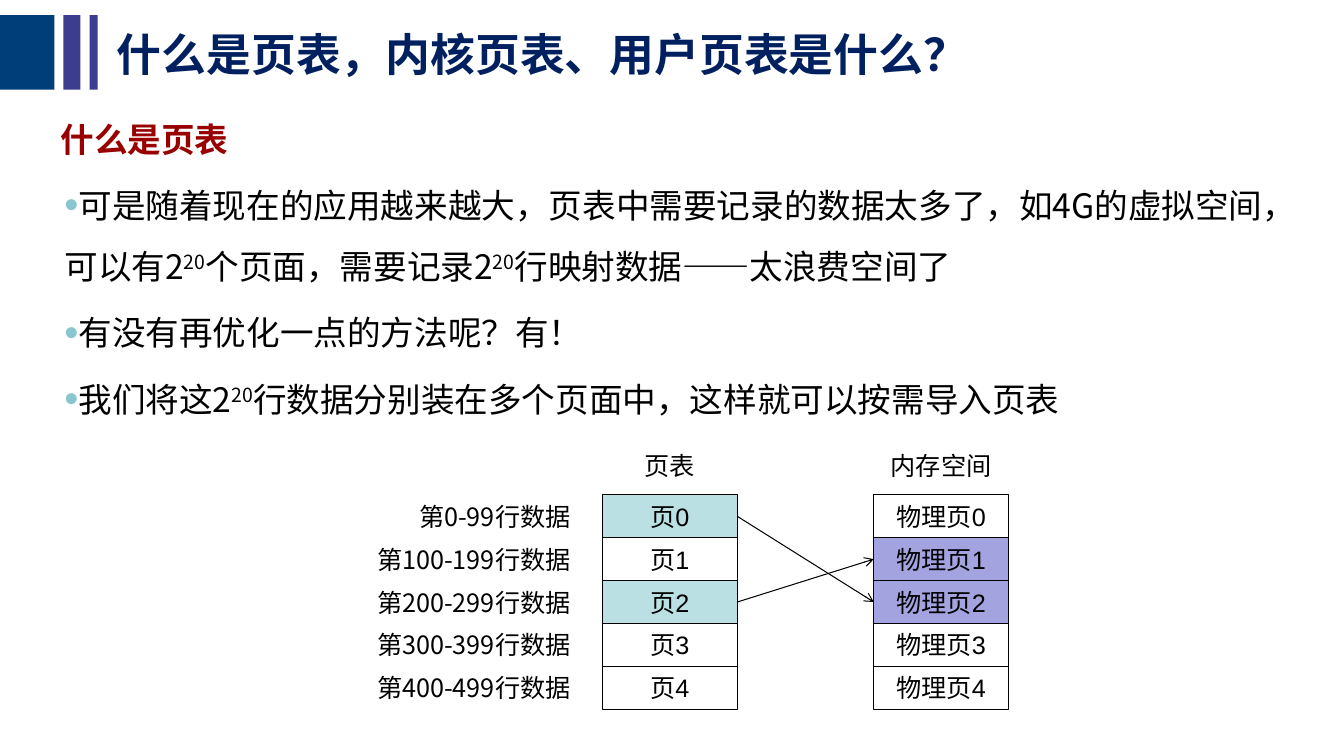
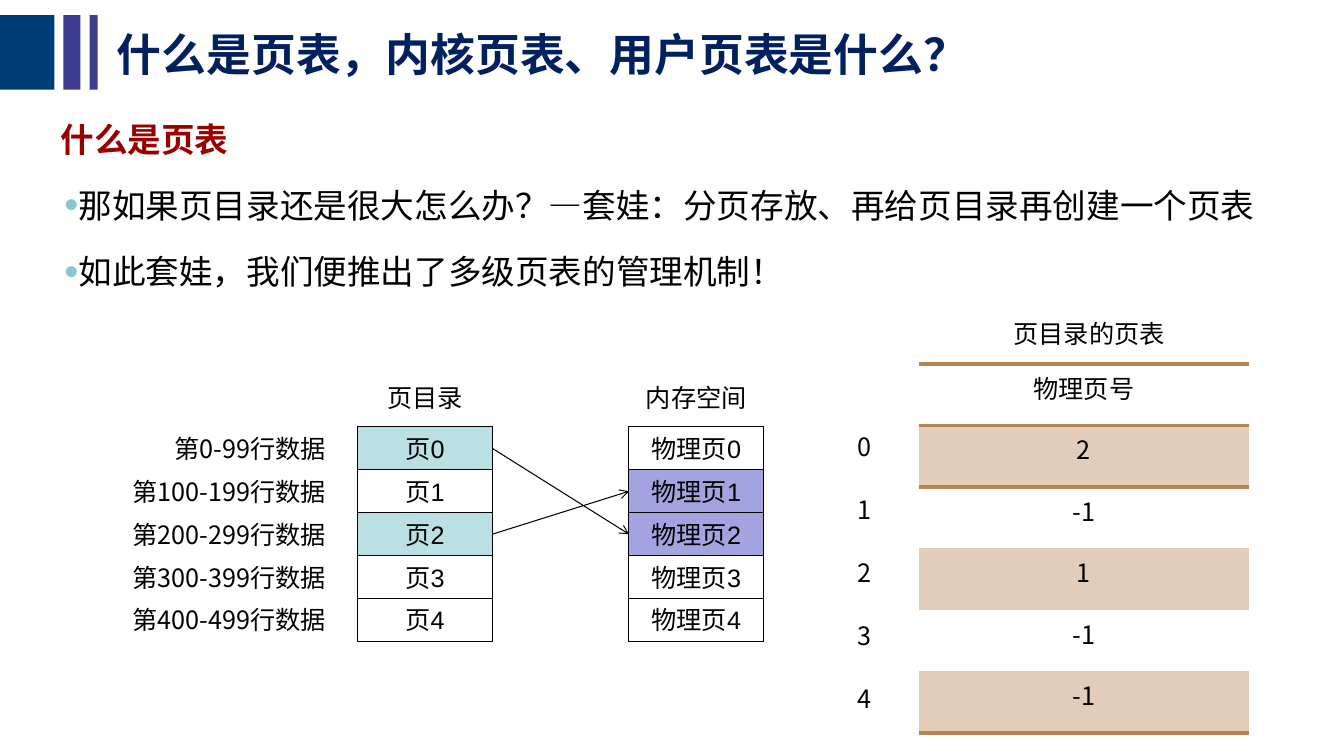
import dataclasses

import lxml.etree
import pptx
import pptx.dml.color
import pptx.enum.shapes
import pptx.enum.text
import pptx.oxml.ns
import pptx.util

Cm = pptx.util.Cm
qn = pptx.oxml.ns.qn
ALIGN = pptx.enum.text.PP_ALIGN
ANCHOR = pptx.enum.text.MSO_ANCHOR


@dataclasses.dataclass(frozen=True)
class Theme:
    navy: str = "003E7A"
    violet: str = "3C3D8E"
    title: str = "002060"
    head: str = "990000"
    text: str = "000000"
    dot: str = "8AC6CD"
    plain: str = "FFFFFF"
    teal: str = "BBE0E3"
    lilac: str = "A3A3E0"
    sand: str = "E1CDB9"
    rule: str = "B58453"
    font: str = "Noto Sans CJK SC"
    cell: str = "Arial"
    big: int = 32
    mid: int = 24
    small: int = 18
    pitch: float = 43.5
    gap: int = 4


THEME = Theme()
TITLE = "什么是页表，内核页表、用户页表是什么？"
HEAD = "什么是页表"
ROWS = 5
CELL_W, CELL_H = 3.4, 1.08
COL_STEP = 6.84
LABEL_W, LABEL_GAP = 7.32, 0.6
NO_STYLE = "{2D5ABB26-0587-4C30-8999-92F81FD0307C}"


def rgb(code):
    return pptx.dml.color.RGBColor.from_string(code)


def add_xml(node, tag, **attrs):
    return lxml.etree.SubElement(node, qn(tag), attrs)


def style(para, size=THEME.small, color=THEME.text, bold=False,
          face=THEME.font, align=ALIGN.LEFT):
    para.alignment = align
    font = para.font
    font.name = face
    font.size = pptx.util.Pt(size)
    font.bold = bold
    font.color.rgb = rgb(color)
    add_xml(para._p.pPr.find(qn("a:defRPr")), "a:ea", typeface=THEME.font)


def indent(para, left):
    """Set the left margin without a hanging indent and return the pPr."""
    props = para._p.get_or_add_pPr()
    props.set("marL", str(Cm(left)))
    props.set("indent", "0")
    return props


def space(para, before=0):
    para.line_spacing = pptx.util.Pt(THEME.pitch)
    para.space_before = pptx.util.Pt(before)


def add_runs(para, text):
    """Add runs; parts between ^ marks are raised."""
    for i, part in enumerate(text.split("^")):
        run = para.add_run()
        run.text = part
        if i % 2:
            run._r.get_or_add_rPr().set("baseline", "30000")


def set_bands(layout, slide):
    """Place the header bands on the layout, behind its placeholders."""
    bands = [(0, 1.37, THEME.navy), (1.6, 0.43, THEME.violet),
             (2.26, 0.2, THEME.violet)]
    for i, (left, width, color) in enumerate(bands):
        band = add_rect(slide, left, 0.38, width, 1.88, color)
        band.line.fill.background()
        band.element.nvSpPr.cNvPr.id = 20 + i
        layout.shapes.element.insert(2 + i, band.element)


def set_layout(layout):
    spots = {0: (2.69, 0.41, 23.32, 1.9), 1: (0, 2.34, 32.31, 16.71),
             2: (1.37, 4.01, 31.9, 15)}
    for hold in layout.placeholders:
        spot = spots.get(hold.placeholder_format.idx)
        if spot:
            hold.left, hold.top, hold.width, hold.height = map(Cm, spot)


def add_page(deck, layout, points):
    slide = deck.slides.add_slide(layout)
    title, head, body = slide.placeholders
    for hold in (title, head, body):
        hold.text_frame.auto_size = pptx.enum.text.MSO_AUTO_SIZE.NONE
        hold.text_frame.vertical_anchor = ANCHOR.TOP
    title.text_frame.vertical_anchor = ANCHOR.MIDDLE
    title.text_frame.text = TITLE
    style(title.text_frame.paragraphs[0], THEME.big, THEME.title, True)

    head.text_frame.text = HEAD
    para = head.text_frame.paragraphs[0]
    add_xml(indent(para, 1.27), "a:buNone")
    space(para)
    style(para, THEME.mid, THEME.head, True)

    for i, point in enumerate(points):
        frame = body.text_frame
        para = frame.add_paragraph() if i else frame.paragraphs[0]
        props = indent(para, 0)
        add_xml(add_xml(props, "a:buClr"), "a:srgbClr", val=THEME.dot)
        add_xml(props, "a:buSzPct", val="120000")
        add_xml(props, "a:buFont", typeface=THEME.cell)
        add_xml(props, "a:buChar", char="•")
        space(para, THEME.gap if i else 0)
        style(para, THEME.mid)
        add_runs(para, point)
    return slide


def fill_text(shape, text, align=ALIGN.CENTER, face=THEME.font):
    frame = shape.text_frame
    frame.word_wrap = True
    frame.vertical_anchor = ANCHOR.MIDDLE
    frame.margin_top = frame.margin_bottom = 0
    frame.margin_left = frame.margin_right = Cm(0.2)
    frame.text = text
    style(frame.paragraphs[0], face=face, align=align)


def add_label(slide, left, top, width, text, align=ALIGN.CENTER, height=1.02):
    box = slide.shapes.add_textbox(Cm(left), Cm(top), Cm(width), Cm(height))
    fill_text(box, text, align)


def add_rect(slide, left, top, width, height, color):
    kind = pptx.enum.shapes.MSO_SHAPE.RECTANGLE
    rect = slide.shapes.add_shape(kind, Cm(left), Cm(top), Cm(width), Cm(height))
    rect.shadow.inherit = False
    rect.fill.solid()
    rect.fill.fore_color.rgb = rgb(color)
    return rect


def add_stack(slide, left, top, head, stem, lit, color):
    """Draw a headed column of cells, with the cells in lit coloured."""
    add_label(slide, left, top - 1.25, CELL_W, head)
    cells = []
    for i in range(ROWS):
        cell = add_rect(slide, left, top + i * CELL_H, CELL_W, CELL_H,
                        color if i in lit else THEME.plain)
        cell.line.color.rgb = rgb(THEME.text)
        cell.line.width = pptx.util.Pt(0.75)
        fill_text(cell, f"{stem}{i}", face=THEME.cell)
        cells.append(cell)
    return cells


def add_arrow(slide, start, end):
    kind = pptx.enum.shapes.MSO_CONNECTOR.STRAIGHT
    link = slide.shapes.add_connector(kind, 0, 0, 0, 0)
    link.begin_connect(start, 3)
    link.end_connect(end, 1)
    link.line.color.rgb = rgb(THEME.text)
    link.line.width = pptx.util.Pt(0.75)
    add_xml(link.get_or_add_ln(), "a:tailEnd", type="arrow")
    add_xml(link.element.spPr, "a:effectLst")


def add_map(slide, left, top, head):
    """Draw the page column, its row labels and the memory column."""
    pages = add_stack(slide, left, top, head, "页", (0, 2), THEME.teal)
    frames = add_stack(slide, left + COL_STEP, top, "内存空间", "物理页",
                       (1, 2), THEME.lilac)
    for page, frame in ((2, 1), (0, 2)):
        add_arrow(slide, pages[page], frames[frame])
    for i in range(ROWS):
        first = i * 100
        add_label(slide, left - LABEL_GAP - LABEL_W, top + i * CELL_H, LABEL_W,
                  f"第{first}-{first + 99}行数据", ALIGN.RIGHT, CELL_H)


def add_edge(cell, tag):
    line = add_xml(cell._tc.get_or_add_tcPr(), tag, w=str(pptx.util.Pt(3)))
    add_xml(add_xml(line, "a:solidFill"), "a:srgbClr", val=THEME.rule)


def add_grid(slide, left, top, width, height, values):
    """Draw a one-column table with ruled head and banded rows."""
    count = len(values)
    table = slide.shapes.add_table(count, 1, Cm(left), Cm(top), Cm(width),
                                   Cm(height * count)).table
    table.first_row = table.horz_banding = False
    table._tbl.tblPr.find(qn("a:tableStyleId")).text = NO_STYLE
    edges = {0: ("a:lnT", "a:lnB"), 1: ("a:lnT",), count - 1: ("a:lnB",)}
    for i, value in enumerate(values):
        cell = table.cell(i, 0)
        for tag in edges.get(i, ()):
            add_edge(cell, tag)
        cell.fill.solid()
        cell.fill.fore_color.rgb = rgb(THEME.sand if i % 2 else THEME.plain)
        cell.text = value
        style(cell.text_frame.paragraphs[0], align=ALIGN.CENTER)


def main():
    deck = pptx.Presentation()
    deck.slide_width, deck.slide_height = Cm(33.87), Cm(19.05)
    layout = deck.slide_layouts[3]
    set_layout(layout)

    slide = add_page(deck, layout, [
        "可是随着现在的应用越来越大，页表中需要记录的数据太多了，如4G的虚拟空间，"
        "可以有2^20^个页面，需要记录2^20^行映射数据——太浪费空间了",
        "有没有再优化一点的方法呢？有！",
        "我们将这2^20^行数据分别装在多个页面中，这样就可以按需导入页表",
    ])
    set_bands(layout, slide)
    add_map(slide, 15.18, 12.47, "页表")

    slide = add_page(deck, layout, [
        "那如果页目录还是很大怎么办？—套娃：分页存放、再给页目录再创建一个页表",
        "如此套娃，我们便推出了多级页表的管理机制！",
    ])
    add_map(slide, 9.01, 10.76, "页目录")
    add_grid(slide, 23.16, 9.17, 8.31, 1.55,
             ["物理页号", "2", "-1", "1", "-1", "-1"])
    for i in range(ROWS):
        add_label(slide, 20.73, 10.74 + i * 1.59, 2.11, str(i))
    add_label(slide, 25.22, 7.9, 4.45, "页目录的页表")

    deck.save("out.pptx")


if __name__ == "__main__":
    main()
